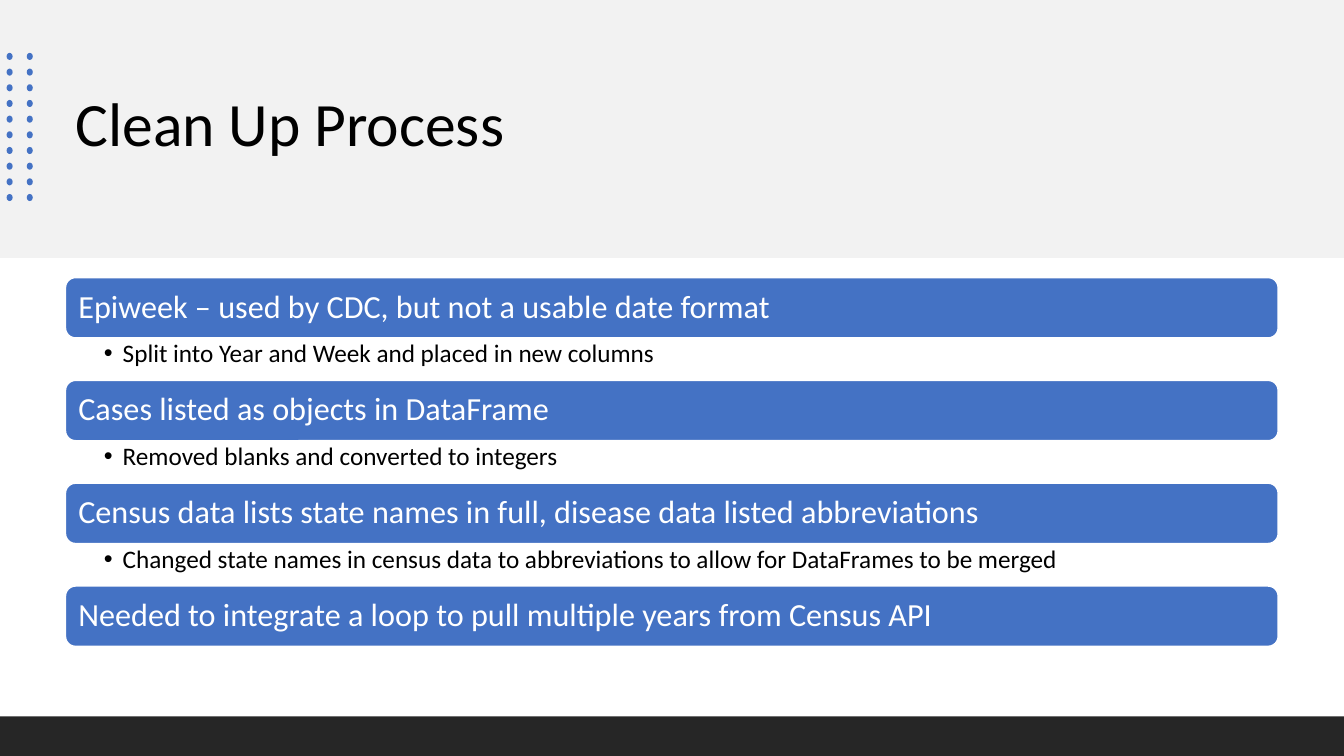
"""Build the Clean Up Process slide."""
from lxml import etree
from pptx import Presentation
from pptx.dml.color import RGBColor
from pptx.enum.shapes import MSO_SHAPE
from pptx.enum.text import MSO_ANCHOR, PP_ALIGN
from pptx.oxml.ns import qn
from pptx.util import Pt

RECTANGLE = MSO_SHAPE.RECTANGLE
ROUNDED = MSO_SHAPE.ROUNDED_RECTANGLE
OVAL = MSO_SHAPE.OVAL
MIDDLE = MSO_ANCHOR.MIDDLE
TOP = MSO_ANCHOR.TOP
LEFT = PP_ALIGN.LEFT

TITLE = "Clean Up Process"
STEPS = [
    ("Epiweek – used by CDC, but not a usable date format",
     "Split into Year and Week and placed in new columns"),
    ("Cases listed as objects in DataFrame",
     "Removed blanks and converted to integers"),
    ("Census data lists state names in full, disease data listed abbreviations",
     "Changed state names in census data to abbreviations to allow for DataFrames to be merged"),
    ("Needed to integrate a loop to pull multiple years from Census API", None),
]
COLORS = {"band": "F2F2F2", "accent": "4472C4", "footer": "262626",
          "white": "FFFFFF", "black": "000000"}
FONT = "Calibri"

PAGE_WIDTH, PAGE_HEIGHT = 960, 540
BAND_HEIGHT = 184.3
FOOTER_HEIGHT = 28.3
CONTENT_LEFT, CONTENT_WIDTH = 46.8, 866.2
BAR_TOP, BAR_HEIGHT, BAR_PITCH = 198.3, 43.1, 73.44
DETAIL_HEIGHT = 30.2
DOT_COLUMNS, DOT_ROWS = 2, 10
DOT_LEFT, DOT_TOP = 4.32, 38.16
DOT_WIDTH, DOT_HEIGHT = 5.04, 4.32
DOT_PITCH_X, DOT_PITCH_Y = 14.4, 11.2


def color(name):
    return RGBColor.from_string(COLORS[name])


def add_block(page, kind, left, top, width, height, fill, line=None):
    block = page.shapes.add_shape(kind, Pt(left), Pt(top), Pt(width), Pt(height))
    block.shadow.inherit = False
    block.fill.solid()
    block.fill.fore_color.rgb = color(fill)
    if line:
        block.line.color.rgb = color(line)
        block.line.width = Pt(1)
    else:
        block.line.fill.background()
    return block


def write(box, text, size, ink, anchor=MIDDLE, insets=(7.2, 7.2, 7.2, 7.2),
          after=0, bullet_indent=None):
    frame = box.text_frame
    frame.word_wrap = True
    frame.vertical_anchor = anchor
    (frame.margin_left, frame.margin_top,
     frame.margin_right, frame.margin_bottom) = [Pt(inset) for inset in insets]
    para = frame.paragraphs[0]
    para.alignment = LEFT
    para.line_spacing = 0.9
    para.space_after = Pt(after)
    span = para.add_run()
    span.text = text
    span.font.size = Pt(size)
    span.font.name = FONT
    span.font.color.rgb = color(ink)
    if bullet_indent:
        para.level = 1
        properties = para._p.get_or_add_pPr()
        properties.set("marL", str(Pt(bullet_indent)))
        properties.set("indent", str(-Pt(bullet_indent)))
        etree.SubElement(properties, qn("a:buFont")).set("typeface", "Arial")
        etree.SubElement(properties, qn("a:buChar")).set("char", "•")


def add_header(page):
    band = add_block(page, RECTANGLE, 0, 0, PAGE_WIDTH, BAND_HEIGHT, "band")
    title = page.shapes.title
    title.element.addprevious(band.element)
    title.left, title.top = Pt(CONTENT_LEFT), Pt(26.6)
    title.width, title.height = Pt(CONTENT_WIDTH), Pt(127.4)
    write(title, TITLE, 44, "black", insets=(7.2, 3.6, 7.2, 3.6))
    for row in range(DOT_ROWS):
        for column in range(DOT_COLUMNS):
            dot = add_block(page, OVAL, DOT_LEFT + column * DOT_PITCH_X,
                            DOT_TOP + row * DOT_PITCH_Y,
                            DOT_WIDTH, DOT_HEIGHT, "accent")
            dot.rotation = 90


def add_steps(page):
    for index, (heading, detail) in enumerate(STEPS):
        top = BAR_TOP + index * BAR_PITCH
        bar = add_block(page, ROUNDED, CONTENT_LEFT, top, CONTENT_WIDTH,
                        BAR_HEIGHT, "accent", line="white")
        write(bar, heading, 23, "white", after=8)
        if detail:
            box = page.shapes.add_textbox(Pt(CONTENT_LEFT), Pt(top + BAR_HEIGHT),
                                          Pt(CONTENT_WIDTH), Pt(DETAIL_HEIGHT))
            write(box, detail, 18, "black", anchor=TOP, after=3.6,
                  insets=(27.4, 2.2, 13, 2.2), bullet_indent=13.5)


def main():
    deck = Presentation()
    deck.slide_width, deck.slide_height = Pt(PAGE_WIDTH), Pt(PAGE_HEIGHT)
    page = deck.slides.add_slide(deck.slide_layouts[5])
    add_header(page)
    add_steps(page)
    add_block(page, RECTANGLE, 0, PAGE_HEIGHT - FOOTER_HEIGHT,
              PAGE_WIDTH, FOOTER_HEIGHT, "footer")
    deck.save("out.pptx")


if __name__ == "__main__":
    main()
